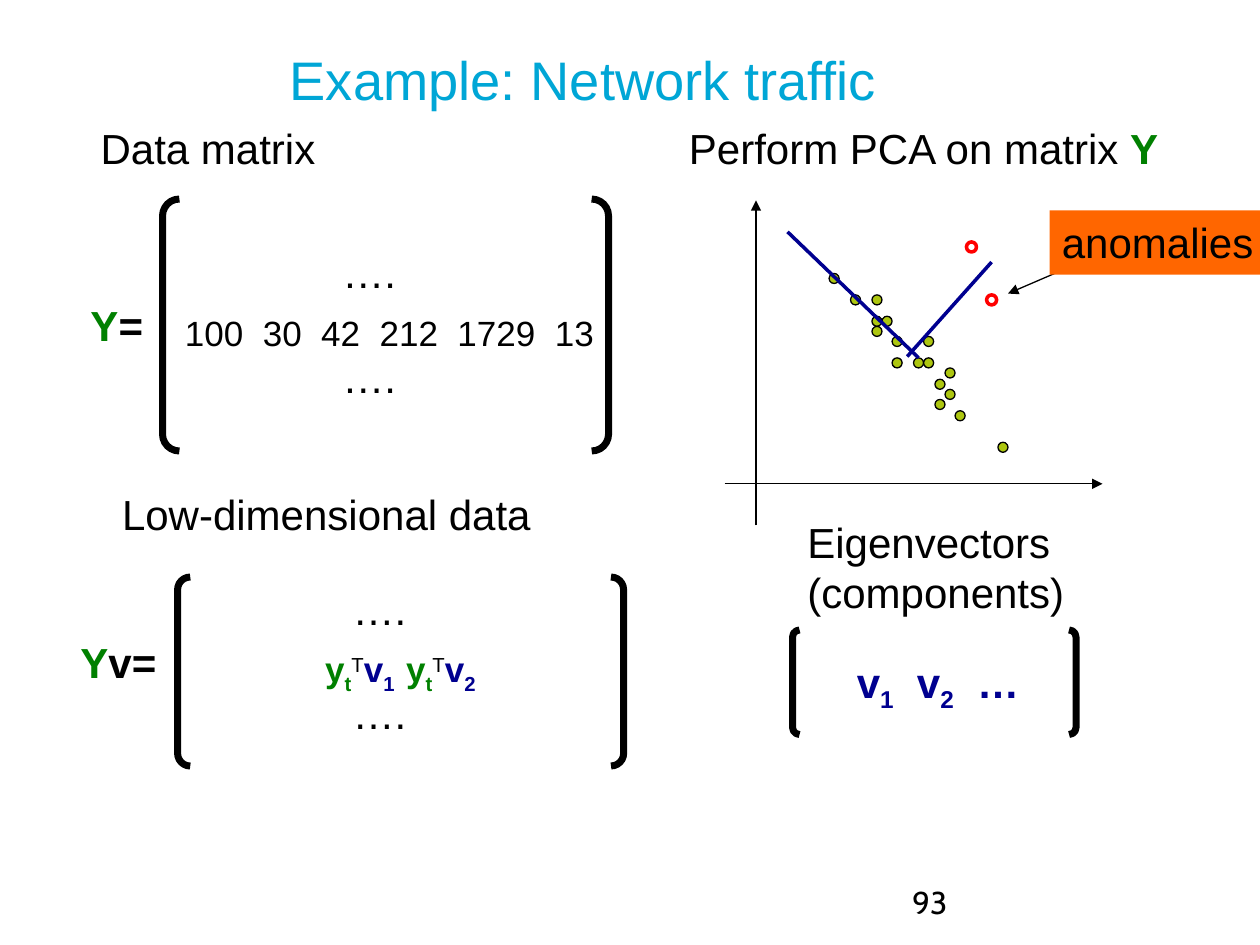
from dataclasses import dataclass
from pptx import Presentation
from pptx.dml.color import RGBColor as Rgb
from pptx.enum.shapes import MSO_CONNECTOR as Conn, MSO_SHAPE as Kind
from pptx.enum.text import MSO_ANCHOR as Anchor, MSO_AUTO_SIZE as Fit, PP_ALIGN as Align
from pptx.oxml.ns import qn
from pptx.util import Pt
from lxml.etree import SubElement as Sub


@dataclass(frozen=True)
class Theme:
    """Colours, fonts and type sizes of the slide."""
    ink: str = "000000"
    paper: str = "FFFFFF"
    title: str = "00A6D6"
    green: str = "008000"
    navy: str = "000090"
    lime: str = "ADC610"
    red: str = "FF0000"
    alert: str = "FF6600"
    font: str = "Arial"
    folio: str = "Cabin"
    head: int = 31
    body: int = 24
    row: int = 20
    small: int = 18


T = Theme()
SCALE = 9144
DOTS = [(10, 7), (12, 9), (14, 11), (16, 13), (14, 12), (19, 13), (14, 9), (18, 15), (19, 15),
        (21, 18), (16, 15), (15, 11), (20, 17), (21, 16), (22, 20), (26, 23), (20, 19)]
ODD = [(25, 9), (23, 4)]


def px(*vals):
    """Turn px lengths into EMU."""
    return [round(v * SCALE) for v in vals]


def fill(frame, paras, size=T.body, align=Align.LEFT, font=T.font, pads=(10, 5, 10, 5)):
    """Write paragraphs of (text, colour, bold, baseline) runs into a frame."""
    frame.word_wrap = True
    frame.auto_size = Fit.NONE
    frame.vertical_anchor = Anchor.TOP
    (frame.margin_left, frame.margin_top,
     frame.margin_right, frame.margin_bottom) = px(*pads)
    for i, runs in enumerate(paras):
        para = frame.add_paragraph() if i else frame.paragraphs[0]
        para.alignment = align
        for text, hue, bold, base in runs:
            run = para.add_run()
            run.text = text
            run.font.name, run.font.size, run.font.bold = font, Pt(size), bold
            run.font.color.rgb = Rgb.from_string(hue)
            if base:
                run.font._element.set("baseline", str(base * 1000))


def word(text, hue=T.ink, bold=False, base=0):
    """Describe one run."""
    return text, hue, bold, base


def label(page, box, *paras, **style):
    """Add a text box."""
    fill(page.shapes.add_textbox(*px(*box)).text_frame, paras, **style)


def form(page, kind, box, tint=None, edge=None, width=0.75):
    """Add a preset shape with plain fill and line."""
    shape = page.shapes.add_shape(kind, *px(*box))
    shape.shadow.inherit = False
    if tint:
        shape.fill.solid()
        shape.fill.fore_color.rgb = Rgb.from_string(tint)
    else:
        shape.fill.background()
    if edge:
        shape.line.color.rgb = Rgb.from_string(edge)
        shape.line.width = Pt(width)
    else:
        shape.line.fill.background()
    return shape


def pair(page, box):
    """Add a pair of matrix brackets."""
    form(page, Kind.DOUBLE_BRACKET, box, T.paper, T.ink, 4).adjustments[0] = 0.067


def line(page, ends, hue=T.ink, width=0.75, tip=False):
    """Add a straight line, with an arrowhead if asked."""
    link = page.shapes.add_connector(Conn.STRAIGHT, *px(*ends))
    link.line.color.rgb = Rgb.from_string(hue)
    link.line.width = Pt(width)
    if tip:
        Sub(link.line._get_or_add_ln(), qn("a:tailEnd"), type="triangle")
    Sub(link._element.spPr, qn("a:effectLst"))


def title(page, box, text):
    """Place and format the title."""
    head = page.shapes.title
    head.left, head.top, head.width, head.height = px(*box)
    fill(head.text_frame, [[word(text, T.title)]], T.head, pads=(0, 0, 0, 0))


def matrix(page, box, rim, head, name, cells, align):
    """Draw a bracketed matrix with its heading, name and middle row."""
    x, y, w, h = box
    pair(page, (x + rim[0], y + rim[1], rim[2], rim[3]))
    label(page, (x + head[0], y + head[1], 348, 51), [word(head[2])])
    label(page, (x + name[0], y + 42, name[1], 51), name[2])
    label(page, (x, y + 51, w, 44), cells, size=T.row, align=align)
    for top in (y, y + h - 51):
        label(page, (x + 125, top, 67, 51), [word("….")])


def plot(page, box):
    """Draw the scatter with its axes, components and anomalies."""
    x, y, w, h = box
    step = w / 36

    def at(a, b, c, d):
        """Shift two points into the box."""
        return x + a, y + b, x + c, y + d

    def dot(spot, *look):
        """Draw one point on the grid."""
        left, top = (round(n * step) for n in spot)
        form(page, Kind.OVAL, (x + left, y + top, 8, 8), *look)

    label(page, (x - 38, y - 67, 396, 51),
          [word("Perform PCA on matrix "), word("Y", T.green, True)])
    line(page, at(25, h, 25, 0), tip=True)
    line(page, at(0, 225, w, 225), tip=True)
    for spot in DOTS:
        dot(spot, T.lime, T.ink)
    for spot in ODD:
        dot(spot, None, T.red, 2)
    for ends in ((50, 25, 154, 125), (145, 124, 212, 49)):
        line(page, at(*ends), T.navy, 2)
    line(page, at(283, 49, 225, 74), tip=True)
    tag = form(page, Kind.RECTANGLE, (x + 258, y + 8, 167, 51), T.alert)
    fill(tag.text_frame, [[word("anomalies")]], pads=(10, 5, 0, 5))


def eigen(page, box):
    """Draw the bracketed eigenvectors with their heading."""
    x, y, w, h = box
    pair(page, box)
    label(page, (x + 2, y - 95, w + 1, 91), [word("Eigenvectors")], [word("(components)")])
    runs = [("v", 0), ("1", -25), ("  v", 0), ("2", -25), ("  …", 0)]
    label(page, (x - 18, y + 16, w + 42, 51),
          [word(text, T.navy, True, base) for text, base in runs], align=Align.CENTER)


def score(num):
    """Return the runs of one projected value."""
    return [word("y", T.green, True), word("t", T.green, True, -25), word("T", base=30),
            word("v", T.navy, True), word(num, T.navy, True, -25)]


def main():
    """Build and save the slide."""
    deck = Presentation()
    deck.slide_width, deck.slide_height = px(1000, 750)
    page = deck.slides.add_slide(deck.slide_layouts[5])
    big = word("Y", T.green, True)
    title(page, (230, 37, 770, 116), "Example: Network traffic")
    matrix(page, (137, 191, 350, 134), (-8, -33, 354, 200), (-67, -99, "Data matrix"),
           (-75, 67, [big, word("=", bold=True)]),
           [word("100  30  42  212  1729  13")], Align.LEFT)
    matrix(page, (145, 458, 350, 134), (-4, 0, 354, 150), (-58, -75, "Low-dimensional data"),
           (-91, 100, [big, word("v=", bold=True)]),
           score("1  ") + score("2 "), Align.CENTER)
    plot(page, (575, 159, 300, 258))
    eigen(page, (629, 500, 225, 83))
    label(page, (717, 697, 233, 40), [word("93")],
          size=T.small, font=T.folio, pads=(7, 4, 7, 4))
    deck.save("out.pptx")


if __name__ == "__main__":
    main()
